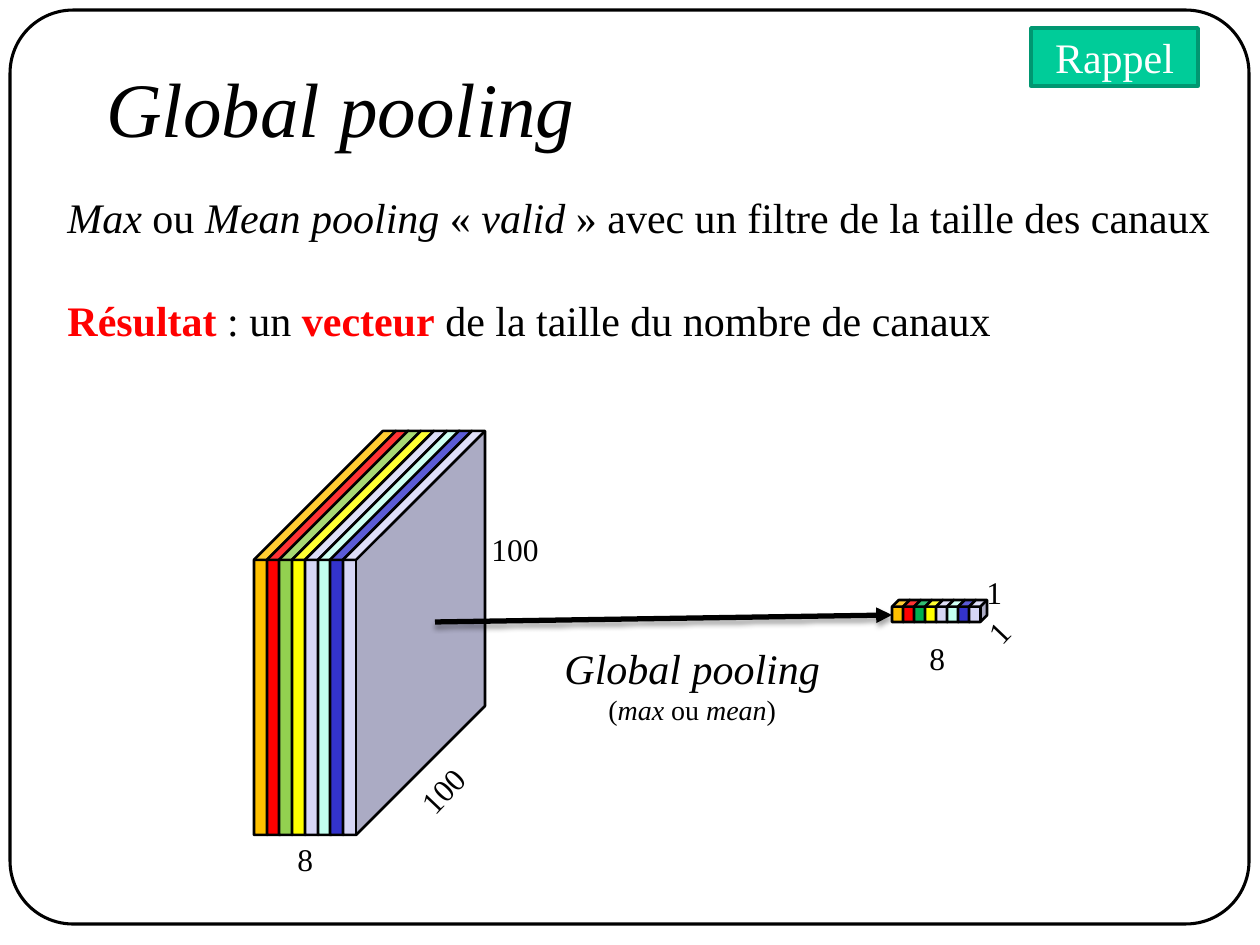
from dataclasses import dataclass

from lxml.etree import SubElement
from pptx import Presentation
from pptx.dml.color import RGBColor
from pptx.enum.shapes import MSO_CONNECTOR as Connector
from pptx.enum.shapes import MSO_SHAPE as Shape
from pptx.enum.text import MSO_ANCHOR as Anchor
from pptx.enum.text import MSO_AUTO_SIZE as AutoSize
from pptx.enum.text import PP_ALIGN as Align
from pptx.oxml.ns import qn
from pptx.util import Emu, Pt

PX_PER_INCH = 126
FONT = "Times New Roman"
COLORS = {
    "black": "000000", "white": "FFFFFF", "orange": "FFC000", "red": "FF0000",
    "lime": "92D050", "green": "00B050", "yellow": "FFFF00", "lilac": "D6D6F5",
    "mint": "C2FFF0", "blue": "3333CC", "teal": "00CC99", "dark teal": "009771",
}


@dataclass
class Span:
    text: str
    italic: bool = False
    bold: bool = False
    color: str = "black"


@dataclass
class Line:
    spans: list[Span]
    size: int
    align: Align = Align.LEFT
    space_before: int = 0


@dataclass
class Label:
    text: str
    left: int
    top: int
    width: int
    rotation: float = 0


@dataclass
class Stack:
    """Channels drawn as a row of overlapping cubes."""
    left: int
    top: int
    width: int
    height: int
    reach: int  # distance from the first cube to the last
    depth: float
    colors: list[str]


def px(value: int) -> Emu:
    return Emu(round(value * 914400 / PX_PER_INCH))


def rgb(name: str) -> RGBColor:
    return RGBColor.from_string(COLORS[name])


def write(frame, lines: list[Line]) -> None:
    for index, line in enumerate(lines):
        para = frame.add_paragraph() if index else frame.paragraphs[0]
        para.alignment = line.align
        if line.space_before:
            para.space_before = Pt(line.space_before)
        for part in line.spans:
            span = para.add_run()
            span.text = part.text
            styles = {"name": FONT, "size": Pt(line.size),
                      "italic": part.italic, "bold": part.bold}
            for name, value in styles.items():
                setattr(span.font, name, value)
            span.font.color.rgb = rgb(part.color)


def add_text(shapes, left: int, top: int, width: int, height: int,
             lines: list[Line], rotation: float = 0):
    box = shapes.add_textbox(px(left), px(top), px(width), px(height))
    box.rotation = rotation
    box.text_frame.word_wrap = False
    box.text_frame.auto_size = AutoSize.SHAPE_TO_FIT_TEXT
    write(box.text_frame, lines)
    return box


def add_block(shapes, kind: Shape, left: int, top: int, width: int, height: int,
              fill: str | None, line: str, weight: float, adjust: float | None = None):
    block = shapes.add_shape(kind, px(left), px(top), px(width), px(height))
    block.shadow.inherit = False
    if fill:
        block.fill.solid()
        block.fill.fore_color.rgb = rgb(fill)
    else:
        block.fill.background()
    block.line.color.rgb = rgb(line)
    block.line.width = Pt(weight)
    if adjust is not None:
        block.adjustments[0] = adjust
    return block


def add_stack(shapes, stack: Stack) -> None:
    step = stack.reach / (len(stack.colors) - 1)
    for index, color in enumerate(stack.colors):
        add_block(shapes, Shape.CUBE, stack.left + round(index * step), stack.top,
                  stack.width, stack.height, color, "black", 1.5, stack.depth)


def add_arrow(shapes, start: tuple[int, int], end: tuple[int, int]) -> None:
    arrow = shapes.add_connector(Connector.STRAIGHT, *map(px, start + end))
    arrow.line.color.rgb = rgb("black")
    arrow.line.width = Pt(3)
    SubElement(arrow.line._get_or_add_ln(), qn("a:tailEnd"), type="triangle")
    # Soft shadow below the arrow
    effects = SubElement(arrow._element.spPr, qn("a:effectLst"))
    shadow = SubElement(effects, qn("a:outerShdw"), blurRad=str(Pt(3.1)),
                        dist=str(Pt(1.8)), dir="5400000", rotWithShape="0")
    tint = SubElement(shadow, qn("a:srgbClr"), val=COLORS["black"])
    SubElement(tint, qn("a:alpha"), val="35000")


def channels(third: str) -> list[str]:
    return ["orange", "red", third, "yellow", "lilac", "mint", "blue", "lilac"]


INPUT = Stack(254, 431, 142, 404, 89, 0.908, channels("lime"))
OUTPUT = Stack(892, 600, 18, 22, 77, 0.374, channels("green"))

TITLE = [Line([Span("Global pooling", italic=True)], 44)]
EXPLANATION = [
    Line([Span("Max", italic=True), Span(" ou "), Span("Mean pooling ", italic=True),
          Span("« "), Span("valid", italic=True),
          Span(" » avec un filtre de la taille des canaux")], 24),
    Line([Span("Résultat", bold=True, color="red"), Span(" : un "),
          Span("vecteur", bold=True, color="red"),
          Span(" de la taille du nombre de canaux")], 24, space_before=30),
]
CAPTION = [
    Line([Span("Global pooling", italic=True)], 24),
    Line([Span("("), Span("max ", italic=True), Span("ou "),
          Span("mean", italic=True), Span(")")], 16, Align.CENTER),
]
LABELS = [
    Label("100", 479, 524, 73),
    Label("100", 406, 765, 73, 313.6),
    Label("8", 285, 834, 41),
    Label("1", 974, 567, 41),
    Label("1", 978, 607, 41, 313.6),
    Label("8", 917, 633, 41),
]


def main() -> None:
    deck = Presentation()
    deck.slide_width, deck.slide_height = px(1260), px(945)
    page = deck.slides.add_slide(deck.slide_layouts[6])
    shapes = page.shapes

    # Frame and title
    add_block(shapes, Shape.ROUNDED_RECTANGLE, 10, 10, 1239, 914,
              None, "black", 1.75, 0.069)
    title = add_text(shapes, 94, 28, 1071, 158, TITLE)
    title.text_frame.auto_size = AutoSize.NONE
    title.text_frame.word_wrap = True
    title.text_frame.vertical_anchor = Anchor.MIDDLE

    # Explanation
    add_text(shapes, 55, 185, 1181, 165, EXPLANATION)

    # Channels before and after pooling
    add_stack(shapes, INPUT)
    add_arrow(shapes, (435, 622), (892, 615))
    add_stack(shapes.add_group_shape().shapes, OUTPUT)
    add_text(shapes, 552, 636, 281, 97, CAPTION)
    for label in LABELS:
        add_text(shapes, label.left, label.top, label.width, 50,
                 [Line([Span(label.text)], 18)], label.rotation)

    # Reminder tag
    tag = add_block(shapes, Shape.RECTANGLE, 1031, 28, 167, 58, "teal", "dark teal", 2)
    tag.text_frame.vertical_anchor = Anchor.MIDDLE
    write(tag.text_frame, [Line([Span("Rappel", color="white")], 24, Align.CENTER)])

    deck.save("out.pptx")


if __name__ == "__main__":
    main()
